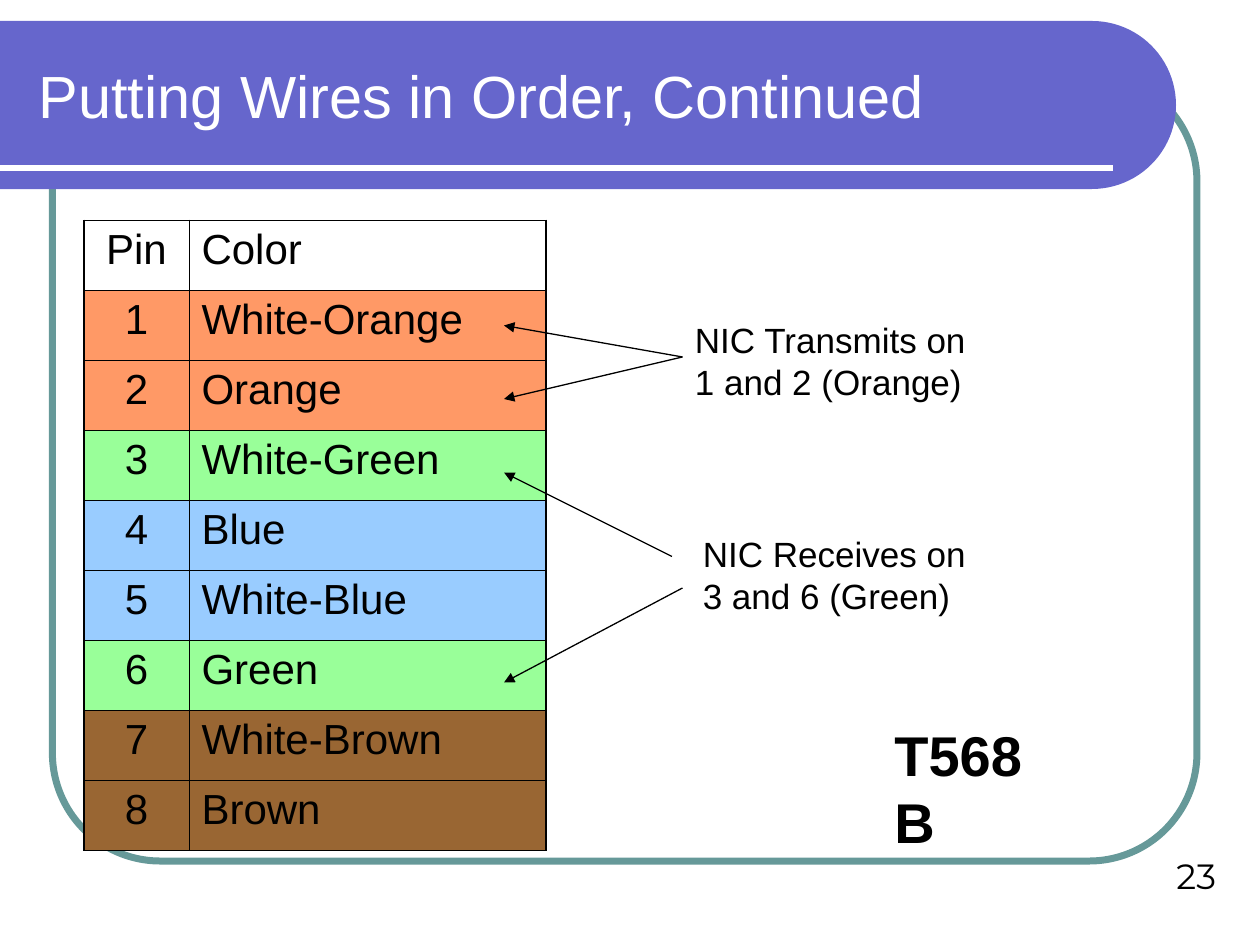
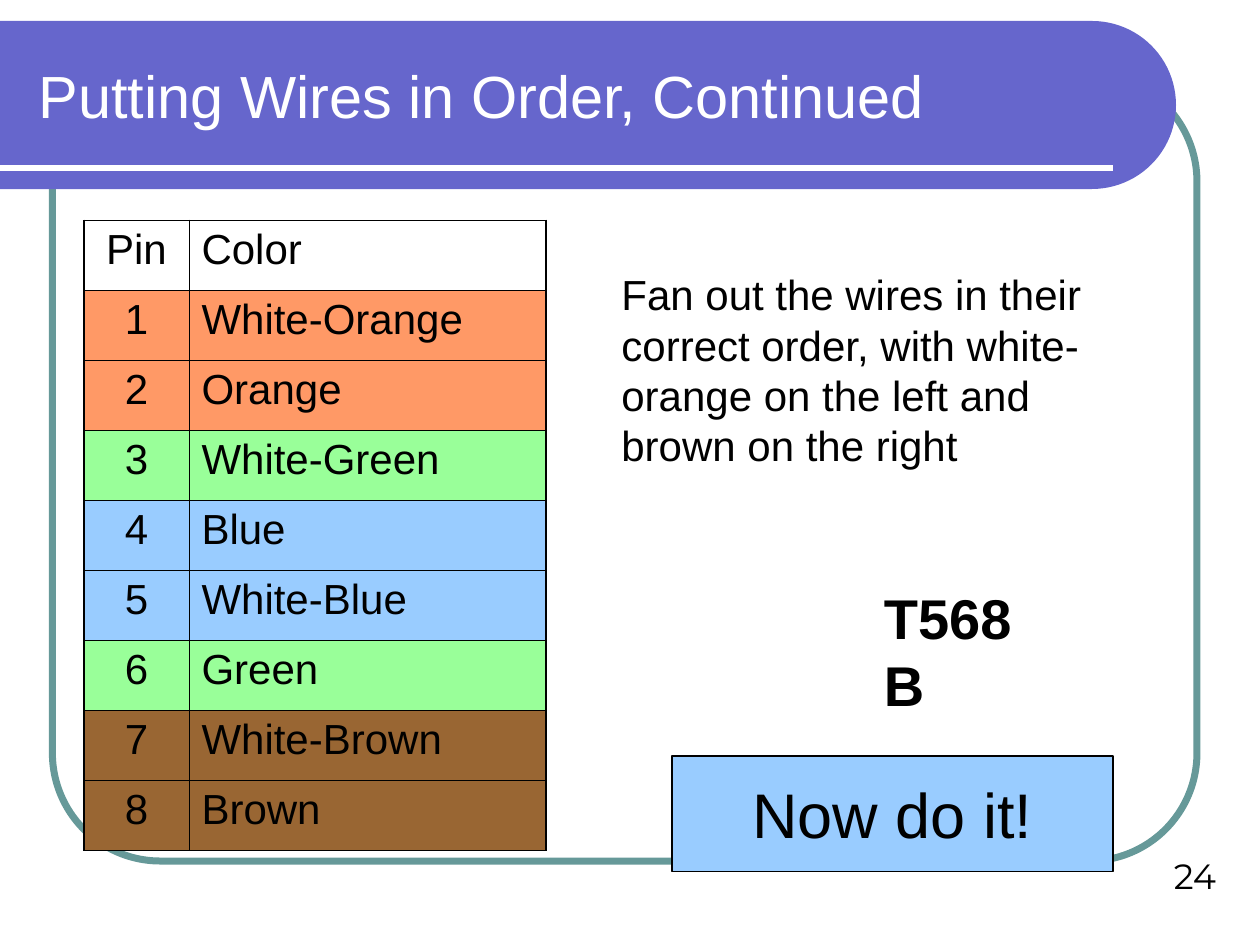
"""Build two slides on the T568B wire order."""
from math import cos, pi, sin

from lxml.etree import SubElement
from pptx import Presentation
from pptx.dml.color import RGBColor
from pptx.enum.shapes import MSO_CONNECTOR as CONN, MSO_SHAPE as SHAPE
from pptx.enum.text import MSO_ANCHOR as ANCHOR, MSO_AUTO_SIZE as FIT, PP_ALIGN as ALIGN
from pptx.oxml.ns import qn
from pptx.util import Pt

WHITE = RGBColor(0xFF, 0xFF, 0xFF)
BLACK = RGBColor(0, 0, 0)
VIOLET = RGBColor(0x66, 0x66, 0xCC)
TEAL = RGBColor(0x66, 0x99, 0x99)
ORANGE = RGBColor(0xFF, 0x99, 0x66)
GREEN = RGBColor(0x99, 0xFF, 0x99)
BLUE = RGBColor(0x99, 0xCC, 0xFF)
BROWN = RGBColor(0x99, 0x66, 0x33)

TITLE = "Putting Wires in Order, Continued"
STANDARD = "T568B"
WIRES = [
    ("White-Orange", ORANGE),
    ("Orange", ORANGE),
    ("White-Green", GREEN),
    ("Blue", BLUE),
    ("White-Blue", BLUE),
    ("Green", GREEN),
    ("White-Brown", BROWN),
    ("Brown", BROWN),
]


class Deck:
    """Hold the shared style and the slide being built."""

    font = "Arial"
    thick, thin = 1.08, 0.45

    def __init__(self):
        self.prs = Presentation()
        self.prs.slide_width, self.prs.slide_height = Pt(720), Pt(540)

    def set_text(self, tf, text, size, color=BLACK, align=ALIGN.LEFT, bold=False, font=None):
        tf.text = text
        for p in tf.paragraphs:
            p.alignment = align
            for r in p.runs:
                r.font.name = font or self.font
                r.font.size = Pt(size)
                r.font.bold = bold
                r.font.color.rgb = color

    def slide(self, title, number):
        self.s = self.prs.slides.add_slide(self.prs.slide_layouts[5])
        self.frame()
        self.band()
        self.line((0, 96), (636, 96), WHITE, 3)
        sp = self.s.shapes.title
        sp.left, sp.top, sp.width, sp.height = Pt(15), Pt(18), Pt(631.5), Pt(72)
        self.s.shapes._spTree.append(sp._element)
        tf = sp.text_frame
        tf.auto_size, tf.vertical_anchor = FIT.NONE, ANCHOR.MIDDLE
        self.set_text(tf, title, 34, WHITE)
        tf = self.text(str(number), 534, 480, 168, 36, 20, wrap=True,
                       align=ALIGN.RIGHT, font="Montserrat")
        tf.auto_size, tf.vertical_anchor = FIT.NONE, ANCHOR.BOTTOM

    def shape(self, kind, x, y, w, h, line, weight, fill=None):
        sp = self.s.shapes.add_shape(kind, Pt(x), Pt(y), Pt(w), Pt(h))
        sp.shadow.inherit = False
        if fill is None:
            sp.fill.background()
        else:
            sp.fill.solid()
            sp.fill.fore_color.rgb = fill
        sp.line.color.rgb = line
        sp.line.width = Pt(weight)
        return sp

    def frame(self):
        sp = self.shape(SHAPE.ROUNDED_RECTANGLE, 30, 42, 654, 450, TEAL, 4)
        sp.adjustments[0] = 0.137

    def band(self, top=12, right=672, radius=48, steps=48):
        cx, cy = right - radius, top + radius
        angles = [pi * i / steps - pi / 2 for i in range(steps + 1)]
        arc = [(Pt(cx + radius * cos(a)), Pt(cy + radius * sin(a))) for a in angles]
        fb = self.s.shapes.build_freeform(0, Pt(top))
        fb.add_line_segments(arc + [(0, Pt(top + 2 * radius))], close=True)
        sp = fb.convert_to_shape()
        sp.shadow.inherit = False
        sp.fill.solid()
        sp.fill.fore_color.rgb = VIOLET
        sp.line.fill.background()

    def line(self, start, end, color=BLACK, weight=0.75, arrow=False):
        ends = [Pt(v) for v in (*start, *end)]
        c = self.s.shapes.add_connector(CONN.STRAIGHT, *ends)
        c.line.color.rgb = color
        c.line.width = Pt(weight)
        if arrow:
            SubElement(c.line._get_or_add_ln(), qn("a:tailEnd"), type="triangle")
        SubElement(c._element.spPr, qn("a:effectLst"))

    def text(self, text, x, y, w, h, size, wrap=False, **style):
        tf = self.s.shapes.add_textbox(Pt(x), Pt(y), Pt(w), Pt(h)).text_frame
        tf.word_wrap = wrap
        tf.auto_size = FIT.SHAPE_TO_FIT_TEXT
        self.set_text(tf, text, size, **style)
        return tf

    def button(self, text, x, y, w, h):
        tf = self.shape(SHAPE.RECTANGLE, x, y, w, h, BLACK, 0.75, BLUE).text_frame
        tf.word_wrap, tf.vertical_anchor = False, ANCHOR.MIDDLE
        self.set_text(tf, text, 36, align=ALIGN.CENTER)

    def border(self, cell, side, weight):
        ln = SubElement(cell._tc.get_or_add_tcPr(), qn(f"a:ln{side}"), w=str(Pt(weight)))
        fill = SubElement(ln, qn("a:solidFill"))
        SubElement(fill, qn("a:srgbClr"), val=str(BLACK))

    def wire_table(self, x=48, y=126, widths=(60, 204), row_height=40):
        rows = [("Pin", "Color", None)]
        rows += [(str(pin), name, fill) for pin, (name, fill) in enumerate(WIRES, 1)]
        last = len(rows) - 1
        table = self.s.shapes.add_table(len(rows), 2, Pt(x), Pt(y), Pt(sum(widths)),
                                        Pt(row_height * len(rows))).table
        table.first_row = table.horz_banding = False
        for col, width in zip(table.columns, widths):
            col.width = Pt(width)
        for i, (pin, name, fill) in enumerate(rows):
            for j, (value, align) in enumerate([(pin, ALIGN.CENTER), (name, ALIGN.LEFT)]):
                cell = table.cell(i, j)
                outer = {"L": j == 0, "R": j == 1, "T": i == 0, "B": i == last}
                for side, is_outer in outer.items():
                    self.border(cell, side, self.thick if is_outer else self.thin)
                if fill is None:
                    cell.fill.background()
                else:
                    cell.fill.solid()
                    cell.fill.fore_color.rgb = fill
                self.set_text(cell.text_frame, value, 24, align=align)


def main():
    deck = Deck()

    deck.slide(TITLE, 23)
    deck.wire_table()
    deck.text(STANDARD, 504, 408, 110, 46, 32, bold=True)
    deck.text("NIC Transmits on\n1 and 2 (Orange)", 390, 178.5, 176, 55.5, 20)
    deck.text("NIC Receives on\n3 and 6 (Green)", 394.5, 301, 170, 55.5, 20)
    for start, pin_y in [((390, 204), 186), ((390, 204), 228),
                         ((384, 318), 270), ((390, 336), 390)]:
        deck.line(start, (288, pin_y), arrow=True)

    deck.slide(TITLE, 24)
    deck.wire_table()
    deck.text(STANDARD, 498, 330, 110, 46, 32, bold=True)
    deck.text("Fan out the wires in their correct order, with white-orange on the left "
              "and brown on the right", 348, 150, 300, 122.5, 24, wrap=True)
    deck.button("Now do it!", 384, 432, 252, 66)

    deck.prs.save("out.pptx")


if __name__ == "__main__":
    main()
